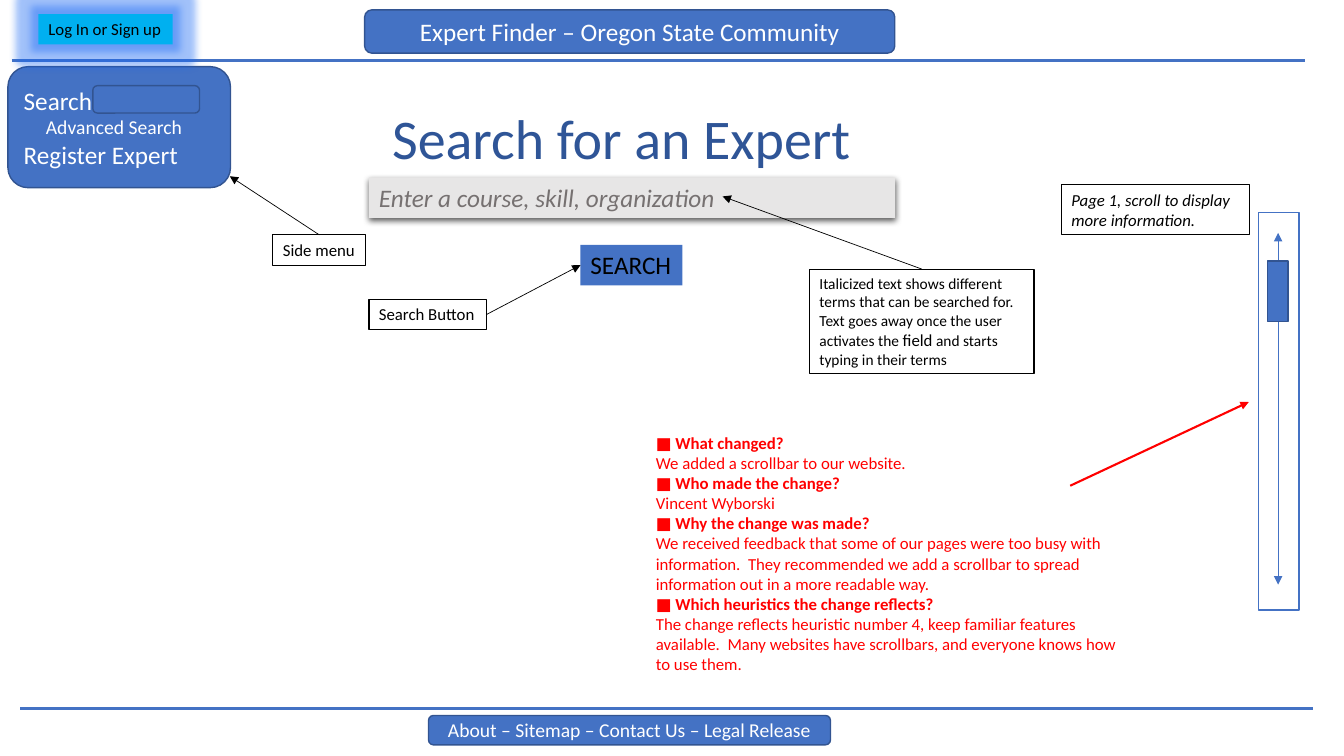
"""Build the expert search page mock-up as one slide."""
from dataclasses import dataclass

from lxml import etree
from pptx import Presentation
from pptx.dml.color import RGBColor
from pptx.enum.shapes import MSO_CONNECTOR, MSO_SHAPE
from pptx.enum.text import MSO_ANCHOR, MSO_AUTO_SIZE, PP_ALIGN
from pptx.oxml import parse_xml
from pptx.oxml.ns import nsdecls, qn
from pptx.util import Cm, Pt

RECT, ROUND = MSO_SHAPE.RECTANGLE, MSO_SHAPE.ROUNDED_RECTANGLE
LINE = MSO_CONNECTOR.STRAIGHT
TOP, MIDDLE = MSO_ANCHOR.TOP, MSO_ANCHOR.MIDDLE
LEFT, CENTER = PP_ALIGN.LEFT, PP_ALIGN.CENTER
SHAPE_TO_FIT, NO_FIT = MSO_AUTO_SIZE.SHAPE_TO_FIT_TEXT, MSO_AUTO_SIZE.NONE


@dataclass(frozen=True)
class Theme:
    """Hold the colours, font and type sizes of the page."""
    font: str = "Calibri"
    blue: str = "4472C4"
    edge: str = "325491"
    navy: str = "2F5597"
    sky: str = "00B0F0"
    pale: str = "E7E6E6"
    gray: str = "767171"
    red: str = "FF0000"
    black: str = "000000"
    white: str = "FFFFFF"
    huge: int = 40
    large: int = 18
    mid: int = 14
    base: int = 12
    small: int = 11


THEME = Theme()

CHANGES = (
    ("What changed?", "We added a scrollbar to our website."),
    ("Who made the change?", "Vincent Wyborski"),
    ("Why the change was made?",
     "We received feedback that some of our pages were too busy with "
     "information.  They recommended we add a scrollbar to spread "
     "information out in a more readable way."),
    ("Which heuristics the change reflects?",
     "The change reflects heuristic number 4, keep familiar features "
     "available.  Many websites have scrollbars, and everyone knows how "
     "to use them."),
)


def style(font, size, color, bold=False, italic=False):
    """Set the look of a paragraph or run font."""
    font.name, font.size = THEME.font, Pt(size)
    font.color.rgb = RGBColor.from_string(color)
    font.bold, font.italic = bold, italic


def write(frame, lines, color, align=LEFT, anchor=TOP, wrap=True, **look):
    """Fill a frame with pairs of text and size."""
    frame.word_wrap, frame.vertical_anchor = wrap, anchor
    for i, (text, size) in enumerate(lines):
        para = frame.add_paragraph() if i else frame.paragraphs[0]
        para.text, para.alignment = text, align
        style(para.font, size, color, **look)


def box(slide, area, fill=None, edge=None, width=1, kind=RECT):
    """Add a flat shape with an optional fill and edge."""
    shape = slide.shapes.add_shape(kind, *map(Cm, area))
    shape.shadow.inherit = False
    if fill:
        shape.fill.solid()
        shape.fill.fore_color.rgb = RGBColor.from_string(fill)
    else:
        shape.fill.background()
    if edge:
        shape.line.color.rgb = RGBColor.from_string(edge)
        shape.line.width = Pt(width)
    else:
        shape.line.fill.background()
    return shape


def panel(slide, area):
    """Add a rounded blue panel."""
    return box(slide, area, THEME.blue, THEME.edge, kind=ROUND)


def label(slide, area, text, fill, color, size, wrap=True, **look):
    """Add a filled box without an edge that holds one line."""
    shape = box(slide, area, fill)
    write(shape.text_frame, [(text, size)], color, wrap=wrap, **look)
    shape.text_frame.auto_size = SHAPE_TO_FIT
    return shape


def note(slide, area, text, **look):
    """Add an outlined note."""
    shape = box(slide, area, edge=THEME.black, width=0.75)
    write(shape.text_frame, [(text, THEME.base)], THEME.black, **look)
    return shape


def effect(shape, xml):
    """Put one effect into the shape's effect list."""
    effects = shape._element.spPr.find(qn("a:effectLst"))
    effects.append(parse_xml(xml))


def rule(slide, start, end, color, width, heads=()):
    """Add a straight line with optional arrowheads."""
    line = slide.shapes.add_connector(LINE, *map(Cm, start + end))
    line.line.color.rgb = RGBColor.from_string(color)
    line.line.width = Pt(width)
    for head in heads:
        etree.SubElement(line.line._get_or_add_ln(), qn(head), type="triangle")
    etree.SubElement(line._element.spPr, qn("a:effectLst"))
    return line


def arrow(slide, start, end, color=THEME.black, width=0.5):
    """Add a line with an arrowhead at its end."""
    return rule(slide, start, end, color, width, ["a:tailEnd"])


def add_title(slide):
    """Place and format the page title."""
    title = slide.shapes.title
    title.left, title.top, title.width, title.height = map(
        Cm, (9.63, 2.49, 12.5, 1.96))
    write(title.text_frame, [("Search for an Expert", THEME.huge)], THEME.navy)
    title.text_frame.auto_size = NO_FIT
    title.text_frame.paragraphs[0].line_spacing = 1.0


def add_frame(slide):
    """Add the side menu, header and footer."""
    menu = panel(slide, (0.2, 1.68, 5.61, 3.05))
    write(menu.text_frame,
          [("Search", THEME.large), ("Advanced Search", THEME.mid),
           ("Register Expert", THEME.large)], THEME.white, anchor=MIDDLE)
    menu.text_frame.paragraphs[1]._p.get_or_add_pPr().set(
        "marL", str(Cm(0.56)))
    panel(slide, (2.34, 2.16, 2.69, 0.69))
    bars = (
        (0.3, 1.52, (9.19, 0.25, 13.36, 1.09),
         "Expert Finder – Oregon State Community", THEME.large),
        (0.51, 17.86, (10.8, 18.03, 10.13, 0.74),
         "About – Sitemap – Contact Us – Legal Release", THEME.mid),
    )
    for left, top, area, text, size in bars:
        rule(slide, (left, top), (left + 32.59, top), THEME.blue, 2.25)
        write(panel(slide, area).text_frame, [(text, size)], THEME.white,
              align=CENTER, anchor=MIDDLE)


def add_search(slide):
    """Add the search field, its button and the login, with notes."""
    field = label(slide, (9.3, 4.47, 13.26, 1.02),
                  "Enter a course, skill, organization",
                  THEME.pale, THEME.gray, THEME.large, italic=True)
    effect(field, f'<a:outerShdw {nsdecls("a")} blurRad="{Pt(4.5)}" '
           f'dist="{Pt(1.5)}" dir="5400000" algn="ctr" rotWithShape="0">'
           f'<a:srgbClr val="{THEME.black}"><a:alpha val="63000"/>'
           '</a:srgbClr></a:outerShdw>')
    button = label(slide, (14.63, 6.17, 2.57, 1.02), "SEARCH",
                   THEME.blue, THEME.black, THEME.large, wrap=False)
    login = label(slide, (0.97, 0.36, 3.38, 0.76), "Log In or Sign up",
                  THEME.sky, THEME.black, THEME.base, wrap=False)
    effect(login, f'<a:glow {nsdecls("a")} rad="{Pt(11)}">'
           f'<a:srgbClr val="{THEME.blue}"><a:satMod val="175000"/>'
           '<a:alpha val="40000"/></a:srgbClr></a:glow>')

    hint = box(slide, (20.4, 6.78, 5.66, 2.64), edge=THEME.black, width=0.75)
    hint.text_frame.word_wrap = True
    hint.text_frame.vertical_anchor = TOP
    para = hint.text_frame.paragraphs[0]
    para.alignment = LEFT
    for text, size in (
            ("Italicized text shows different terms that can be searched for."
             "  Text goes away once the user activates the ", THEME.small),
            ("field", THEME.base),
            (" and starts typing in their terms", THEME.small)):
        run = para.add_run()
        run.text = text
        style(run.font, size, THEME.black)
    arrow(slide, (23.23, 6.78), (18.21, 4.95)).begin_connect(hint, 0)

    tip = note(slide, (9.3, 7.54, 2.97, 0.76), "Search Button")
    link = arrow(slide, (12.27, 7.92), (14.63, 6.68))
    link.begin_connect(tip, 3)
    link.end_connect(button, 1)
    side = note(slide, (6.88, 5.92, 2.34, 0.76), "Side menu")
    arrow(slide, (8.05, 5.92), (5.79, 4.44)).begin_connect(side, 0)


def add_scroll(slide):
    """Add the scrollbar and the text on what changed."""
    box(slide, (31.72, 5.36, 1.02, 10.01), THEME.white, THEME.blue)
    rule(slide, (32.21, 5.87), (32.21, 14.73), THEME.blue, 0.5,
         ["a:headEnd", "a:tailEnd"])
    box(slide, (31.95, 6.58, 0.51, 1.52), THEME.blue, THEME.edge)
    note(slide, (26.75, 4.65, 4.75, 1.27),
         "Page 1, scroll to display more information.", italic=True)
    text = slide.shapes.add_textbox(*map(Cm, (16.28, 10.77, 12.52, 6.4)))
    lines = [(line, THEME.base) for ask, reply in CHANGES
             for line in (f"■ {ask}", reply)]
    write(text.text_frame, lines, THEME.red)
    for para in text.text_frame.paragraphs[::2]:
        para.font.bold = True
    arrow(slide, (26.97, 12.24), (31.47, 10.13), THEME.red, 1.5)


def main():
    """Build and save the slide."""
    deck = Presentation()
    deck.slide_width, deck.slide_height = Cm(33.87), Cm(19.05)
    slide = deck.slides.add_slide(deck.slide_layouts[5])
    add_title(slide)
    add_frame(slide)
    add_search(slide)
    add_scroll(slide)
    deck.save("out.pptx")


if __name__ == "__main__":
    main()
